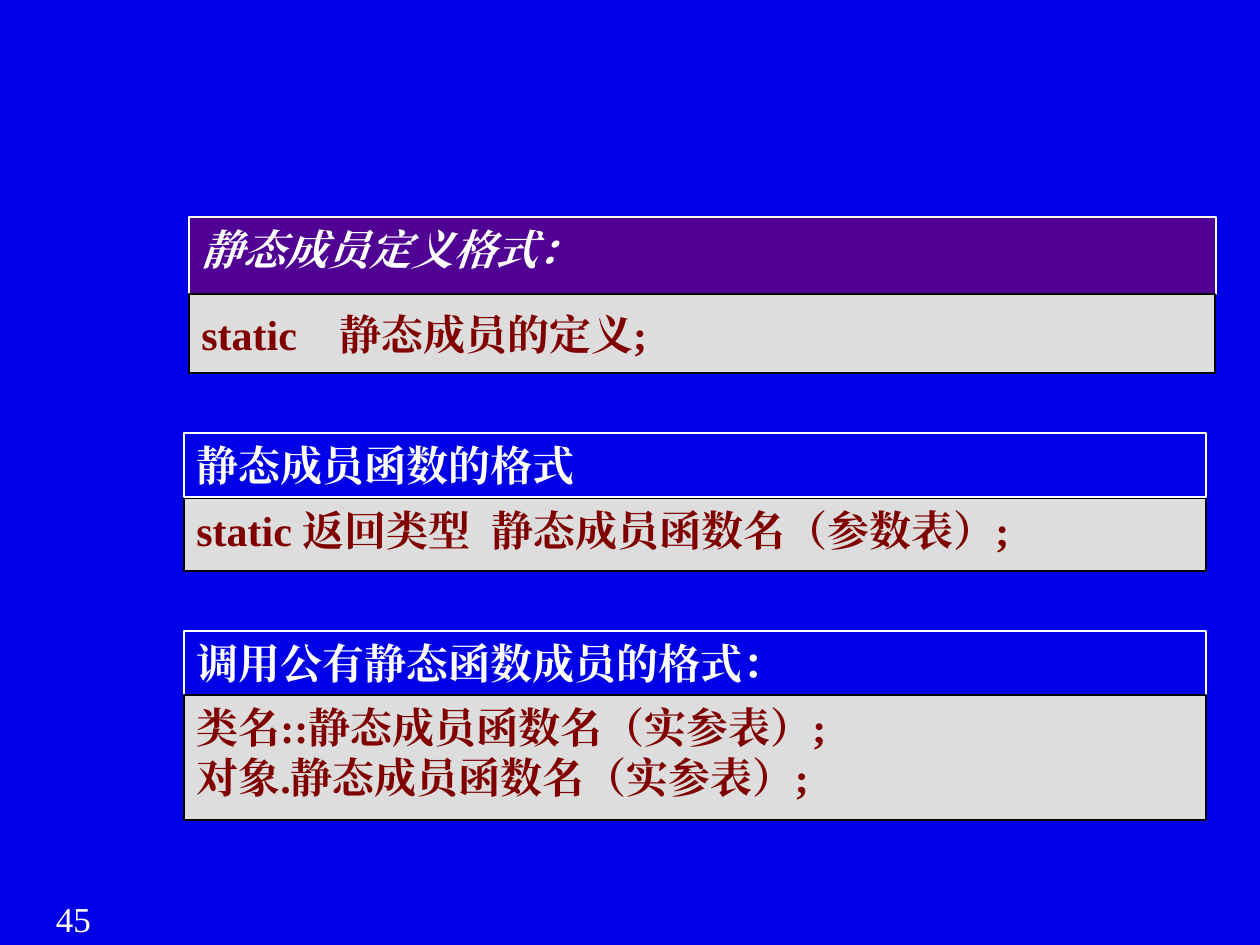
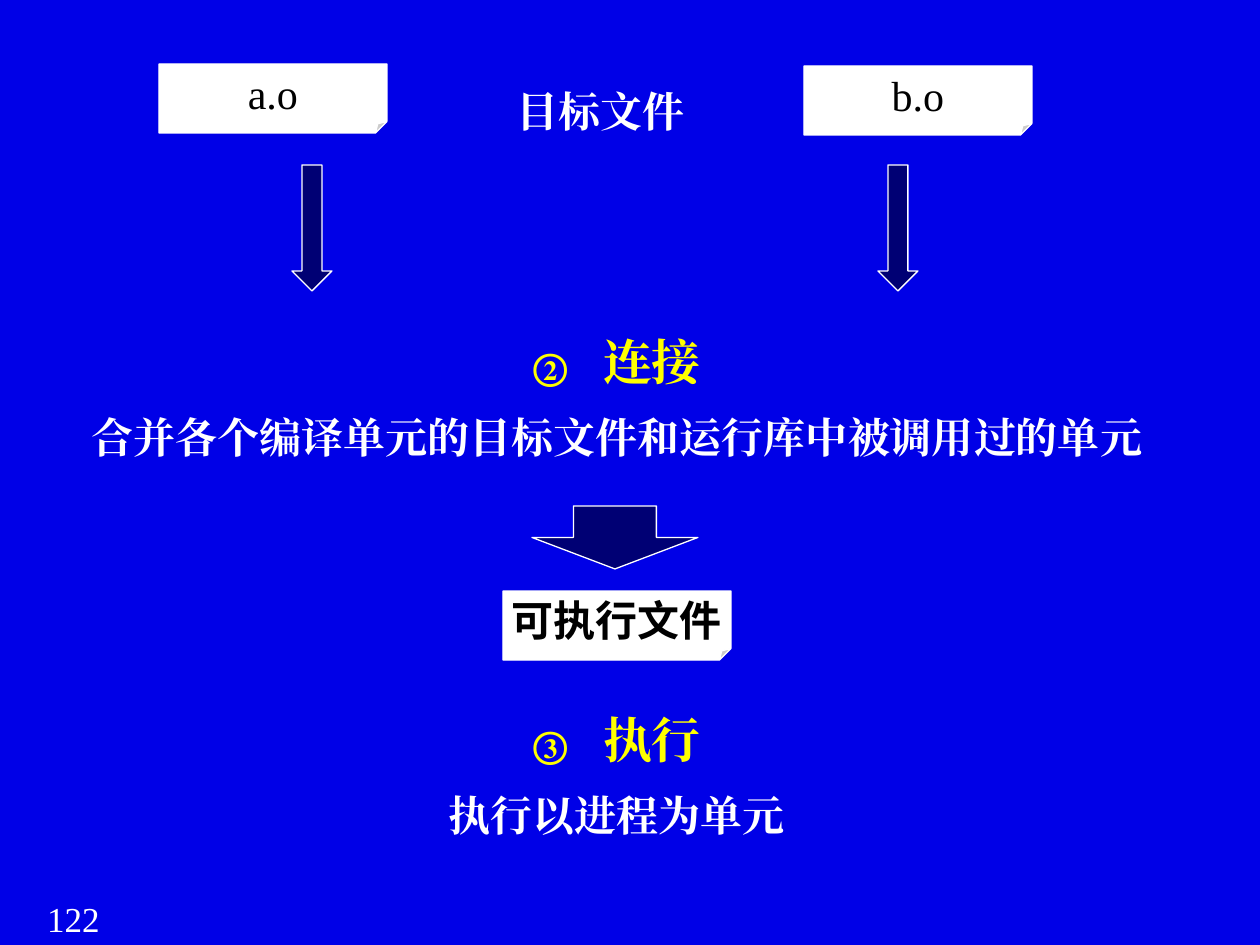
from dataclasses import dataclass
from typing import NamedTuple, Optional

from lxml.etree import SubElement
from pptx import Presentation
from pptx.dml.color import RGBColor
from pptx.enum.lang import MSO_LANGUAGE_ID
from pptx.enum.shapes import MSO_SHAPE
from pptx.enum.text import MSO_ANCHOR, MSO_AUTO_SIZE, PP_ALIGN
from pptx.oxml.ns import qn
from pptx.util import Emu, Pt

EMU_PER_PX = 914400 / 126


@dataclass(frozen=True)
class Theme:
    background: str = "0000E7"
    title_fill: str = "500093"
    code_fill: str = "DDDDDD"
    code_text: str = "800000"
    arrow_fill: str = "000074"
    accent: str = "FFFF00"
    white: str = "FFFFFF"
    black: str = "000000"
    font: str = "Times New Roman"
    cjk_font: str = "Noto Sans CJK SC"
    number_size: int = 20
    text_size: int = 24
    step_size: int = 28
    line_width: float = 0.75


THEME = Theme()


class Area(NamedTuple):
    left: int
    top: int
    width: int
    height: int


class TextStyle(NamedTuple):
    color: str
    size: int = THEME.text_size
    bold: bool = True
    italic: bool = False
    font: str = THEME.font
    align: PP_ALIGN = PP_ALIGN.CENTER


class Band(NamedTuple):
    area: Area
    text: str
    is_code: bool
    anchor: MSO_ANCHOR = MSO_ANCHOR.TOP


class FileCard(NamedTuple):
    left: int
    top: int
    name: str
    style: TextStyle


class Step(NamedTuple):
    top: int
    number: int
    name: str
    detail: str


TITLE = TextStyle(THEME.white, italic=True, align=PP_ALIGN.LEFT)
HEADING = TextStyle(THEME.white, align=PP_ALIGN.JUSTIFY)
CODE = TextStyle(THEME.code_text, align=PP_ALIGN.JUSTIFY)
LABEL = TextStyle(THEME.white)
STEP_NAME = TextStyle(THEME.accent, THEME.step_size)
PAGE_NUMBER = TextStyle(THEME.white, THEME.number_size, bold=False)
OBJECT_FILE = TextStyle(THEME.black, bold=False)
PROGRAM_FILE = TextStyle(THEME.black, font=THEME.cjk_font)

NUMBER_AREA = Area(21, 891, 105, 54)
TITLE_AREA = Area(189, 217, 1027, 77)
LABEL_AREA = Area(503, 54, 195, 82)

BANDS = [
    Band(Area(189, 294, 1026, 79), "static　静态成员的定义;", True, MSO_ANCHOR.MIDDLE),
    Band(Area(184, 498, 1022, 73), "static 返回类型  静态成员函数名（参数表）;", True),
    Band(Area(184, 433, 1022, 64), "静态成员函数的格式", False),
    Band(Area(184, 631, 1022, 64), "调用公有静态函数成员的格式：", False),
    Band(Area(184, 695, 1022, 125),
         "类名::静态成员函数名（实参表）;\n对象.静态成员函数名（实参表）;", True),
]
ARROWS = [Area(292, 165, 40, 126), Area(878, 165, 40, 126), Area(532, 506, 166, 63)]
CARDS = [
    FileCard(159, 64, "a.o", OBJECT_FILE),
    FileCard(804, 66, "b.o", OBJECT_FILE),
    FileCard(503, 591, "可执行文件", PROGRAM_FILE),
]
STEPS = [
    Step(296, 2, "连接", "合并各个编译单元的目标文件和运行库中被调用过的单元"),
    Step(674, 3, "执行", "执行以进程为单元"),
]


def px(length: int) -> Emu:
    return Emu(round(length * EMU_PER_PX))


def place(area: Area) -> list[Emu]:
    return [px(length) for length in area]


def rgb(color: str) -> RGBColor:
    return RGBColor.from_string(color)


def format_paragraph(para, style: TextStyle) -> None:
    para.alignment = style.align
    for span in para.runs:
        font = span.font
        font.name = style.font
        font.size = Pt(style.size)
        font.bold = style.bold
        font.italic = style.italic
        font.color.rgb = rgb(style.color)
        font.language_id = MSO_LANGUAGE_ID.SIMPLIFIED_CHINESE
        properties = font._element
        east_asian = SubElement(properties, qn("a:ea"))
        east_asian.set("typeface", style.font)
        properties.find(qn("a:latin")).addnext(east_asian)


def write(frame, text: str, style: TextStyle) -> None:
    frame.text = text
    for para in frame.paragraphs:
        format_paragraph(para, style)


def paint(box, fill: Optional[str], line: str) -> None:
    if fill:
        box.fill.solid()
        box.fill.fore_color.rgb = rgb(fill)
    else:
        box.fill.background()
    box.line.color.rgb = rgb(line)
    box.line.width = Pt(THEME.line_width)


def add_painted_shape(page, preset: MSO_SHAPE, area: Area, fill: Optional[str], line: str):
    box = page.shapes.add_shape(preset, *place(area))
    box.shadow.inherit = False
    paint(box, fill, line)
    return box


def add_text(page, area: Area, text: str, style: TextStyle, wrap: bool = True):
    box = page.shapes.add_textbox(*place(area))
    box.text_frame.word_wrap = wrap
    write(box.text_frame, text, style)
    return box


def add_title(page, text: str) -> None:
    title = page.shapes.title
    title.left, title.top, title.width, title.height = place(TITLE_AREA)
    paint(title, THEME.title_fill, THEME.white)
    frame = title.text_frame
    frame.auto_size = MSO_AUTO_SIZE.NONE
    frame.vertical_anchor = MSO_ANCHOR.TOP
    write(frame, text, TITLE)


def add_band(page, band: Band) -> None:
    fill, line = (THEME.code_fill, THEME.black) if band.is_code else (None, THEME.white)
    box = add_painted_shape(page, MSO_SHAPE.RECTANGLE, band.area, fill, line)
    box.text_frame.vertical_anchor = band.anchor
    box.text_frame.word_wrap = True
    write(box.text_frame, band.text, CODE if band.is_code else HEADING)


def add_card(page, card: FileCard) -> None:
    area = Area(card.left, card.top, 228, 69)
    box = add_painted_shape(page, MSO_SHAPE.FOLDED_CORNER, area, THEME.white, THEME.white)
    frame = box.text_frame
    frame.word_wrap = False
    frame.vertical_anchor = MSO_ANCHOR.MIDDLE
    frame.margin_left = frame.margin_right = px(5)
    frame.margin_top = frame.margin_bottom = 0
    write(frame, card.name, card.style)


def add_circled_number(para, number: int) -> None:
    """Number the paragraph with a circled digit on a hanging indent."""
    properties = para._p.get_or_add_pPr()
    properties.set("marL", str(px(70)))
    properties.set("indent", str(-px(70)))
    color = SubElement(properties, qn("a:buClr"))
    SubElement(color, qn("a:srgbClr")).set("val", THEME.accent)
    SubElement(properties, qn("a:buSzPct")).set("val", "75000")
    bullet = SubElement(properties, qn("a:buAutoNum"))
    bullet.set("type", "circleNumDbPlain")
    bullet.set("startAt", str(number))


def add_step(page, step: Step) -> None:
    area = Area(74, step.top, 1086, 81)
    box = add_text(page, area, f"{step.name}\n{step.detail}", LABEL)
    name, detail = box.text_frame.paragraphs
    add_circled_number(name, step.number)
    name.line_spacing = 1.5
    name.space_after = Pt(7)
    detail.space_before = Pt(5)
    for span in name.runs:
        span.font.size = Pt(STEP_NAME.size)
        span.font.color.rgb = rgb(STEP_NAME.color)


def add_page(deck, layout_name: str, number: int):
    page = deck.slides.add_slide(deck.slide_layouts.get_by_name(layout_name))
    add_text(page, NUMBER_AREA, str(number), PAGE_NUMBER)
    return page


def build_static_members(deck) -> None:
    page = add_page(deck, "Title Only", 45)
    add_title(page, "静态成员定义格式：")
    for band in BANDS:
        add_band(page, band)


def build_linking(deck) -> None:
    page = add_page(deck, "Blank", 122)
    for step in STEPS:
        add_step(page, step)
    for area in ARROWS:
        add_painted_shape(page, MSO_SHAPE.DOWN_ARROW, area, THEME.arrow_fill, THEME.white)
    for card in CARDS:
        add_card(page, card)
    label = add_text(page, LABEL_AREA, "目标文件", LABEL, wrap=False)
    label.text_frame.paragraphs[0].line_spacing = 1.5


def main() -> None:
    deck = Presentation()
    deck.slide_width, deck.slide_height = px(1260), px(945)
    background = deck.slide_master.background.fill
    background.solid()
    background.fore_color.rgb = rgb(THEME.background)
    build_static_members(deck)
    build_linking(deck)
    deck.save("out.pptx")


if __name__ == "__main__":
    main()
